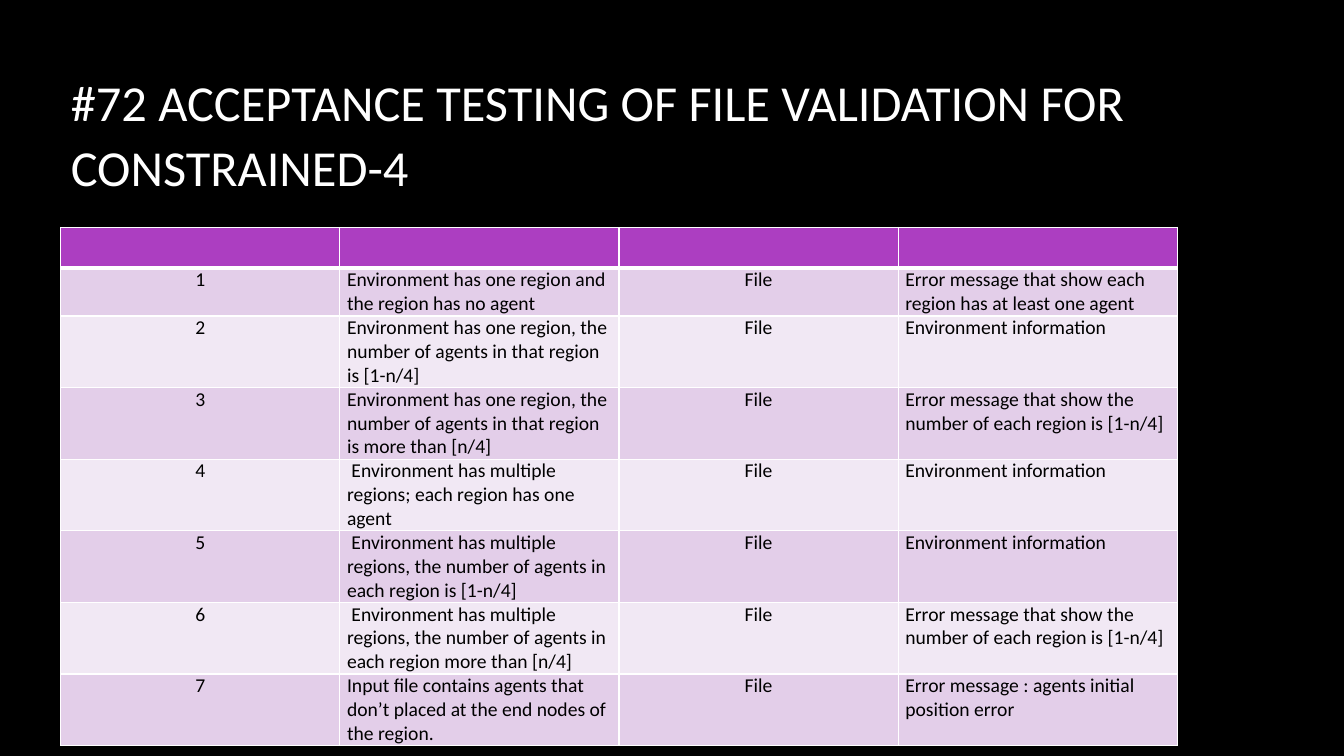
"""Build the acceptance testing slide for file validation."""
from lxml.etree import SubElement
from pptx import Presentation
from pptx.dml.color import RGBColor
from pptx.enum.text import MSO_ANCHOR, MSO_AUTO_SIZE, PP_ALIGN as Align
from pptx.oxml.ns import qn
from pptx.util import Cm, Pt

TITLE = "#72 ACCEPTANCE TESTING OF FILE VALIDATION FOR CONSTRAINED-4"
INFORMATION = "Environment information"
COUNT_ERROR = "Error message that show the number of each region is [1-n/4]"
CASES = [
    ("Environment has one region and the region has no agent",
     "Error message that show each region has at least one agent"),
    ("Environment has one region, the number of agents in that region is [1-n/4]",
     INFORMATION),
    ("Environment has one region, the number of agents in that region is more than [n/4]",
     COUNT_ERROR),
    (" Environment has multiple regions; each region has one agent", INFORMATION),
    (" Environment has multiple regions, the number of agents in each region is [1-n/4]",
     INFORMATION),
    (" Environment has multiple regions, the number of agents in each region more than [n/4]",
     COUNT_ERROR),
    ("Input file contains agents that don’t placed at the end nodes of the region.",
     "Error message : agents initial position error"),
]
ALIGNMENTS = [Align.CENTER, Align.LEFT, Align.CENTER, Align.LEFT]
COLORS = {"background": "000000", "title": "FFFFFF", "text": "000000", "border": "FFFFFF",
          "header": "AC3EC1", "odd": "E3CEE9", "even": "F1E8F4"}
FONT = "Calibri"
LEFT, WIDTH = Cm(1.53), Cm(28.14)
HEADER_HEIGHT, ROW_HEIGHT = Cm(0.94), Cm(1.04)


def color(name):
    return RGBColor.from_string(COLORS[name])


def style_font(para, size, color_name):
    para.font.name = FONT
    para.font.size = Pt(size)
    para.font.color.rgb = color(color_name)


def add_borders(cell, top, bottom):
    properties = cell._tc.get_or_add_tcPr()
    for side, points in (("L", 1), ("R", 1), ("T", top), ("B", bottom)):
        line = SubElement(properties, qn(f"a:ln{side}"), w=str(Pt(points)))
        fill = SubElement(line, qn("a:solidFill"))
        SubElement(fill, qn("a:srgbClr"), val=COLORS["border"])


def add_title(slide):
    title = slide.shapes.title
    title.left, title.top, title.width, title.height = LEFT, Cm(1.3), WIDTH, Cm(4.04)
    frame = title.text_frame
    frame.text = TITLE
    frame.word_wrap = True
    frame.auto_size = MSO_AUTO_SIZE.NONE
    frame.vertical_anchor = MSO_ANCHOR.MIDDLE
    para = frame.paragraphs[0]
    para.alignment = Align.LEFT
    para.line_spacing = 1.07
    style_font(para, 36, "title")


def fill_cell(cell, text, alignment):
    cell.margin_left = cell.margin_right = Cm(0.18)
    cell.margin_top = cell.margin_bottom = 0
    cell.text = text
    para = cell.text_frame.paragraphs[0]
    para.alignment = alignment
    style_font(para, 14, "text")


def add_case_table(slide):
    height = HEADER_HEIGHT + len(CASES) * ROW_HEIGHT
    table = slide.shapes.add_table(
        len(CASES) + 1, len(ALIGNMENTS), LEFT, Cm(5.73), WIDTH, height).table
    for number, row in enumerate(table.rows):
        row.height = ROW_HEIGHT if number else HEADER_HEIGHT
        band = "header" if number == 0 else "odd" if number % 2 else "even"
        for cell in row.cells:
            add_borders(cell, 3 if number == 1 else 1, 3 if number == 0 else 1)
            cell.fill.solid()
            cell.fill.fore_color.rgb = color(band)
    for number, (scenario, result) in enumerate(CASES, 1):
        texts = (str(number), scenario, "File", result)
        for cell, text, alignment in zip(table.rows[number].cells, texts, ALIGNMENTS):
            fill_cell(cell, text, alignment)


def main():
    deck = Presentation()
    deck.slide_width, deck.slide_height = Cm(33.87), Cm(19.05)
    slide = deck.slides.add_slide(deck.slide_layouts[5])
    slide.background.fill.solid()
    slide.background.fill.fore_color.rgb = color("background")
    add_title(slide)
    add_case_table(slide)
    deck.save("out.pptx")


if __name__ == "__main__":
    main()
